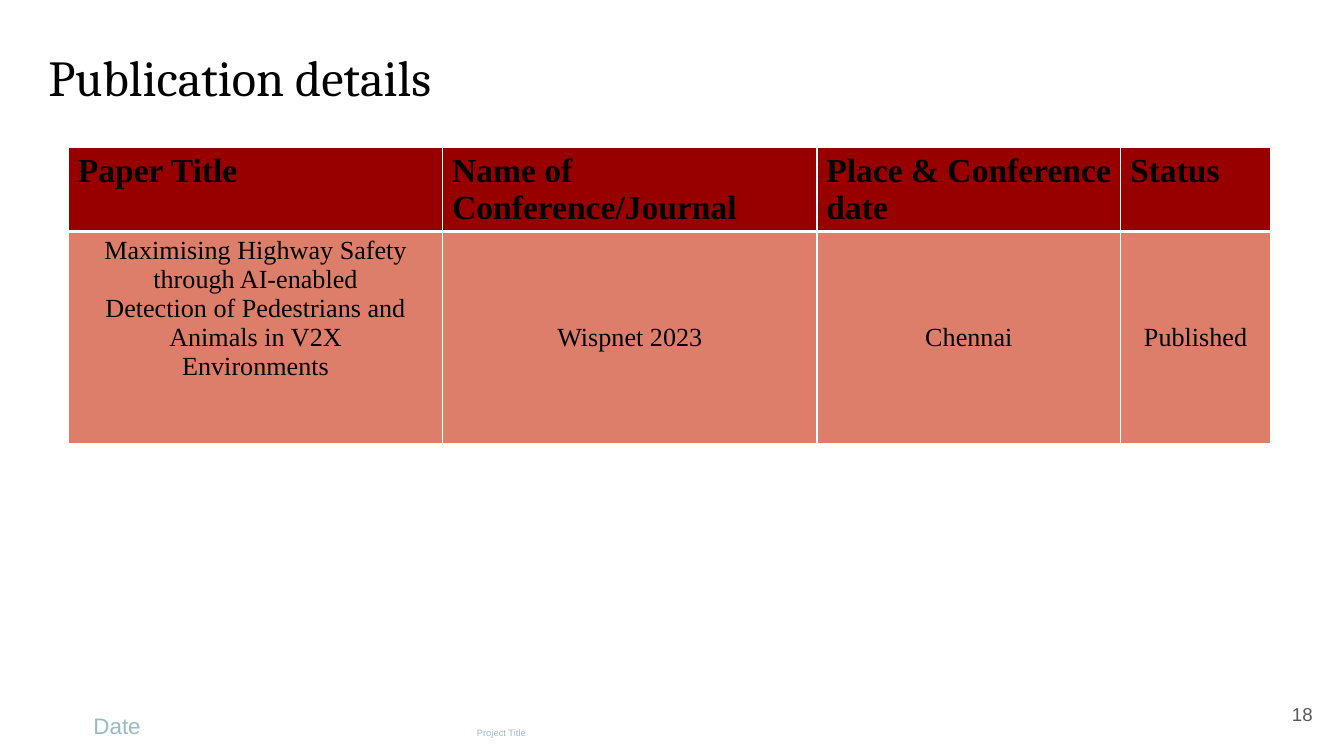
from dataclasses import dataclass

from lxml import etree
from pptx import Presentation
from pptx.dml.color import RGBColor
from pptx.enum.text import MSO_ANCHOR as Anchor, MSO_AUTO_SIZE as AutoSize, PP_ALIGN as Align
from pptx.oxml.ns import qn
from pptx.util import Pt

PX = 4572


@dataclass(frozen=True)
class Theme:
    ink: str = "000000"
    header: str = "980000"
    body: str = "DD7E6B"
    rule: str = "FFFFFF"
    footer: str = "98BBC2"
    number: str = "595959"
    title_font: str = "Cambria"
    table_font: str = "Times New Roman"
    footer_font: str = "Arial"
    title_size: int = 27
    header_size: int = 18
    body_size: int = 14
    date_size: int = 12
    number_size: int = 10
    project_size: int = 5
    thin: float = 0.67
    thick: float = 2


THEME = Theme()


def write_text(frame, text, *, font, size, color, bold=False, align=Align.LEFT,
               anchor=Anchor.MIDDLE, margins=(20, 10, 20, 10)):
    frame.word_wrap = True
    frame.vertical_anchor = anchor
    (frame.margin_left, frame.margin_top,
     frame.margin_right, frame.margin_bottom) = [margin * PX for margin in margins]
    write_paragraphs(frame, text, font=font, size=size, color=color, bold=bold, align=align)


def write_paragraphs(frame, text, *, font, size, color, bold, align):
    for index, line in enumerate(text.split("\n")):
        paragraph = frame.add_paragraph() if index else frame.paragraphs[0]
        paragraph.alignment = align
        run = paragraph.add_run()
        run.text = line
        run.font.name = font
        run.font.size = Pt(size)
        run.font.bold = bold
        run.font.color.rgb = RGBColor.from_string(color)


def add_title(slide, box, text):
    title = slide.shapes.title
    title.left, title.top, title.width, title.height = [value * PX for value in box]
    title.text_frame.auto_size = AutoSize.NONE
    write_text(title.text_frame, text, font=THEME.title_font,
               size=THEME.title_size, color=THEME.ink)


def add_label(slide, box, text, **text_format):
    label = slide.shapes.add_textbox(*[value * PX for value in box])
    write_text(label.text_frame, text, font=THEME.footer_font, **text_format)


def set_borders(cell, **widths):
    properties = cell._tc.get_or_add_tcPr()
    for index, (side, width) in enumerate(widths.items()):
        line = etree.Element(qn(f"a:ln{side}"), w=str(Pt(width)))
        fill = etree.SubElement(line, qn("a:solidFill"))
        etree.SubElement(fill, qn("a:srgbClr"), val=THEME.rule)
        properties.insert(index, line)


def add_publication_table(slide, box, column_widths, row_heights, rows):
    frame = slide.shapes.add_table(len(rows), len(column_widths),
                                   *[value * PX for value in box])
    table = frame.table
    for column, width in zip(table.columns, column_widths):
        column.width = width * PX
    for row, height in zip(table.rows, row_heights):
        row.height = height * PX
    for row_index, texts in enumerate(rows):
        is_header = row_index == 0
        for column_index, text in enumerate(texts):
            cell = table.cell(row_index, column_index)
            cell.fill.solid()
            cell.fill.fore_color.rgb = RGBColor.from_string(
                THEME.header if is_header else THEME.body)
            write_paragraphs(cell.text_frame, text, font=THEME.table_font, color=THEME.ink,
                             size=THEME.header_size if is_header else THEME.body_size,
                             bold=is_header, align=Align.LEFT if is_header else Align.CENTER)
            cell.margin_left = 14 * PX
            cell.margin_right = (10 if is_header else 14) * PX
            cell.margin_top = cell.margin_bottom = 7 * PX
            at_top = is_header or column_index == 0
            cell.vertical_anchor = Anchor.TOP if at_top else Anchor.MIDDLE
            set_borders(cell, L=THEME.thin, R=THEME.thin,
                        T=THEME.thin if is_header else THEME.thick,
                        B=THEME.thick if is_header else THEME.thin)


def add_footer(slide, box):
    left, top, width, height = box
    add_label(slide, (left, top + height - 60, 221, 60), "Date", size=THEME.date_size,
              color=THEME.footer, align=Align.RIGHT, anchor=Anchor.BOTTOM)
    add_label(slide, (left + 682, top, 750, height), "Project Title",
              size=THEME.project_size, color=THEME.footer, anchor=Anchor.BOTTOM)
    add_label(slide, (left + width - 120, top + 15, 120, 86), "18",
              size=THEME.number_size, color=THEME.number, align=Align.RIGHT,
              margins=(20, 20, 20, 20))


def main():
    presentation = Presentation()
    presentation.slide_width, presentation.slide_height = 2000 * PX, 1125 * PX
    slide = presentation.slides.add_slide(presentation.slide_layouts[5])
    add_title(slide, (52, 26, 1900, 174), "Publication details")
    add_publication_table(slide, (102, 220, 1789, 440), (557, 557, 452, 223), (124, 316), [
        ("Paper Title", "Name of Conference/Journal", "Place & Conference date", "Status"),
        ("Maximising Highway Safety through AI-enabled\n"
         "Detection of Pedestrians and Animals in V2X\nEnvironments",
         "Wispnet 2023", "Chennai", "Published"),
    ])
    add_footer(slide, (8, 1005, 1965, 104))
    presentation.save("out.pptx")


if __name__ == "__main__":
    main()
